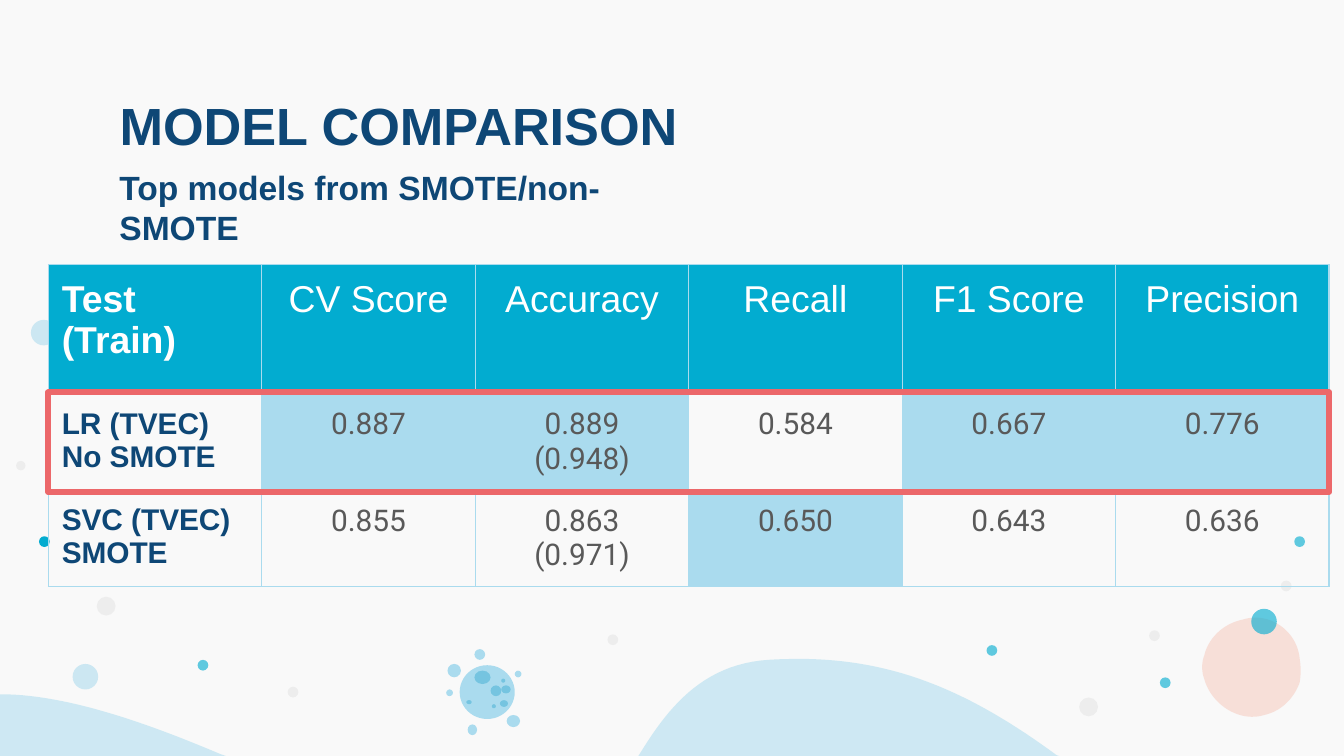
from lxml import etree
from pptx import Presentation
from pptx.dml.color import RGBColor
from pptx.enum.shapes import MSO_SHAPE
from pptx.enum.text import MSO_ANCHOR, PP_ALIGN
from pptx.oxml.ns import qn
from pptx.util import Inches, Pt

OVAL, RECT = MSO_SHAPE.OVAL, MSO_SHAPE.RECTANGLE
TOP, LEFT, MID = MSO_ANCHOR.TOP, PP_ALIGN.LEFT, PP_ALIGN.CENTER
WIDE = 10
HIGH = WIDE * 9 / 16

HUES = {
    "back": "F9F9F9", "navy": "0E4776", "teal": "02ACD0", "sky": "AADBEE",
    "spot": "75C4E0", "pale": "EDEDED", "peach": "F5AD9A", "red": "EC686A",
    "gray": "595959", "white": "FFFFFF",
}
RGB = {name: RGBColor.from_string(code) for name, code in HUES.items()}

FONTS = {
    "title": {"name": "Arial", "size": Pt(28), "bold": True},
    "sub": {"name": "Arial", "size": Pt(18), "bold": True},
    "corner": {"name": "Arial", "size": Pt(20), "bold": True},
    "head": {"name": "Arial", "size": Pt(20), "bold": False},
    "model": {"name": "Arial", "size": Pt(16), "bold": True},
    "score": {"name": "Roboto", "size": Pt(16), "bold": False},
}
PADS = {"margin_" + side: Inches(0.1) for side in ("left", "right", "top", "bottom")}


def paint(shape, hue, alpha=100):
    """Fill a shape without line or shadow, alpha in percent."""
    shape.shadow.inherit = False
    shape.line.fill.background()
    shape.fill.solid()
    shape.fill.fore_color.rgb = RGB[hue]
    if alpha < 100:
        color = next(shape.element.spPr.iter(qn("a:srgbClr")))
        etree.SubElement(color, qn("a:alpha")).set("val", str(alpha * 1000))


def write(frame, text, form, hue, align=LEFT):
    frame.text = text
    for para in frame.paragraphs:
        para.alignment = align
        for run in para.runs:
            for key, value in FONTS[form].items():
                setattr(run.font, key, value)
            run.font.color.rgb = RGB[hue]


deck = Presentation()
deck.slide_width, deck.slide_height = Inches(WIDE), Inches(HIGH)
slide = deck.slides.add_slide(deck.slide_layouts[5])
shapes = slide.shapes
slide.background.fill.solid()
slide.background.fill.fore_color.rgb = RGB["back"]

# Waves and ball: hue, alpha, corners on the slide edge, Bezier curves
blobs = [
    ("sky", 54, [(0, HIGH), (1.68, HIGH)],
     [[(3.38, 6.41), (2.04, 5.81), (0.44, 4.9), (-0.44, 5.24)]]),
    ("sky", 54, [(4.75, HIGH), (7.88, HIGH)],
     [[(9.51, 7.08), (7.8, 5.42), (6.99, 4.83), (5.72, 4.91)],
      [(5.72, 4.91), (4.46, 4.99), (4.73, 7), (3.38, 6.41)]]),
    ("peach", 34, [],
     [[(9.67, 5.08), (9.68, 5.02), (9.68, 4.96), (9.67, 4.9)],
      [(9.67, 4.9), (9.65, 4.69), (9.44, 4.55), (9.25, 4.61)],
      [(9.25, 4.61), (9.1, 4.64), (8.99, 4.75), (8.96, 4.88)],
      [(8.96, 4.88), (8.94, 4.93), (8.94, 5), (8.96, 5.05)],
      [(8.96, 5.05), (9.01, 5.24), (9.22, 5.38), (9.41, 5.32)],
      [(9.41, 5.32), (9.54, 5.29), (9.63, 5.19), (9.67, 5.08)]]),
]
STEPS = 60
for hue, alpha, ends, curves in blobs:
    spots = list(ends)
    for curve in curves:
        for step in range(STEPS + 1):
            t = step / STEPS
            mix = ((1 - t) ** 3, 3 * t * (1 - t) ** 2, 3 * t * t * (1 - t), t ** 3)
            x, y = (sum(m * p[axis] for m, p in zip(mix, curve)) for axis in (0, 1))
            if x >= 0 and y <= HIGH:
                spots.append((x, y))
    spots = [(Inches(x), Inches(y)) for x, y in spots]
    outline = shapes.build_freeform(*spots[0])
    outline.add_line_segments(spots[1:], close=True)
    paint(outline.convert_to_shape(), hue, alpha)

# Dots: left, top, width, height
dots = [
    ("sky", 57, [(0.23, 2.38, 0.19, 0.19), (0.54, 4.94, 0.19, 0.19)]),
    ("pale", 100, [
        (0.12, 3.43, 0.07, 0.07), (2.14, 5.11, 0.08, 0.08), (4.52, 4.72, 0.08, 0.08),
        (0.72, 4.44, 0.14, 0.14), (9.53, 4.32, 0.08, 0.08), (8.55, 4.69, 0.08, 0.08),
        (8.03, 5.19, 0.14, 0.14)]),
    ("teal", 100, [(0.29, 3.99, 0.08, 0.08)]),
    ("teal", 62, [
        (1.47, 4.91, 0.08, 0.08), (9.31, 4.53, 0.19, 0.19), (8.63, 5.04, 0.08, 0.08),
        (7.34, 4.8, 0.08, 0.08), (9.63, 3.99, 0.08, 0.08)]),
    ("sky", 100, [
        (3.53, 4.83, 0.08, 0.08), (3.48, 5.39, 0.07, 0.08), (3.33, 4.94, 0.1, 0.1),
        (3.77, 5.32, 0.1, 0.09), (3.83, 4.99, 0.05, 0.05), (3.32, 5.13, 0.05, 0.05),
        (3.42, 4.95, 0.41, 0.4)]),
    ("spot", 100, [
        (3.73, 5.1, 0.07, 0.06), (3.73, 5.05, 0.03, 0.03), (3.65, 5.1, 0.08, 0.08),
        (3.53, 4.99, 0.12, 0.1), (3.72, 5.21, 0.06, 0.05), (3.47, 5.21, 0.04, 0.03),
        (3.66, 5.24, 0.03, 0.03)]),
]
for hue, alpha, places in dots:
    for place in places:
        paint(shapes.add_shape(OVAL, *map(Inches, place)), hue, alpha)

# Score table
rows = [
    ["Test\n(Train)", "CV Score", "Accuracy", "Recall", "F1 Score", "Precision"],
    ["LR (TVEC)\nNo SMOTE", "0.887", "0.889\n(0.948)", "0.584", "0.667", "0.776"],
    ["SVC (TVEC)\nSMOTE", "0.855", "0.863\n(0.971)", "0.650", "0.643", "0.636"],
]
best = {(1, 1), (1, 2), (1, 4), (1, 5), (2, 3)}
grid = shapes.add_table(3, 6, Inches(0.36), Inches(1.97), Inches(9.53), Inches(2.2)).table
grid.first_row = grid.horz_banding = False
for row, tall in zip(grid.rows, (0.96, 0.62, 0.62)):
    row.height = Inches(tall)

for r, row in enumerate(rows):
    for c, text in enumerate(row):
        cell = grid.cell(r, c)
        for key, value in PADS.items():
            setattr(cell, key, value)
        if r == 0:
            form, hue = ("head" if c else "corner"), "white"
        else:
            form, hue = ("score", "gray") if c else ("model", "navy")
        write(cell.text_frame, text, form, hue, MID if c else LEFT)
        props = cell._tc.get_or_add_tcPr()
        for tag in ("a:lnL", "a:lnR", "a:lnT", "a:lnB"):
            edge = etree.SubElement(props, qn(tag), w=str(Pt(0.75)))
            fill = etree.SubElement(edge, qn("a:solidFill"))
            etree.SubElement(fill, qn("a:srgbClr"), val=HUES["sky"])
        if r == 0 or (r, c) in best:
            cell.fill.solid()
            cell.fill.fore_color.rgb = RGB["sky" if r else "teal"]
        else:
            cell.fill.background()

# Title and subtitle
title = shapes.title
sub = shapes.add_textbox(0, 0, 0, 0)
texts = [
    (title, "MODEL COMPARISON", "title", (0.79, 0.59, 8.43, 0.52)),
    (sub, "Top models from SMOTE/non-SMOTE", "sub", (0.79, 1.14, 4.63, 0.4)),
]
look = {"word_wrap": True, "vertical_anchor": TOP, **PADS}
for box, text, form, place in texts:
    box.left, box.top, box.width, box.height = map(Inches, place)
    for key, value in look.items():
        setattr(box.text_frame, key, value)
    write(box.text_frame, text, form, "navy")

# Frame around the best model
mark = shapes.add_shape(RECT, Inches(0.36), Inches(2.92), Inches(9.53), Inches(0.74))
mark.shadow.inherit = False
mark.fill.background()
mark.line.color.rgb = RGB["red"]
mark.line.width = Pt(3.25)
etree.SubElement(mark.element.spPr.find(qn("a:ln")), qn("a:round"))

deck.save("out.pptx")
